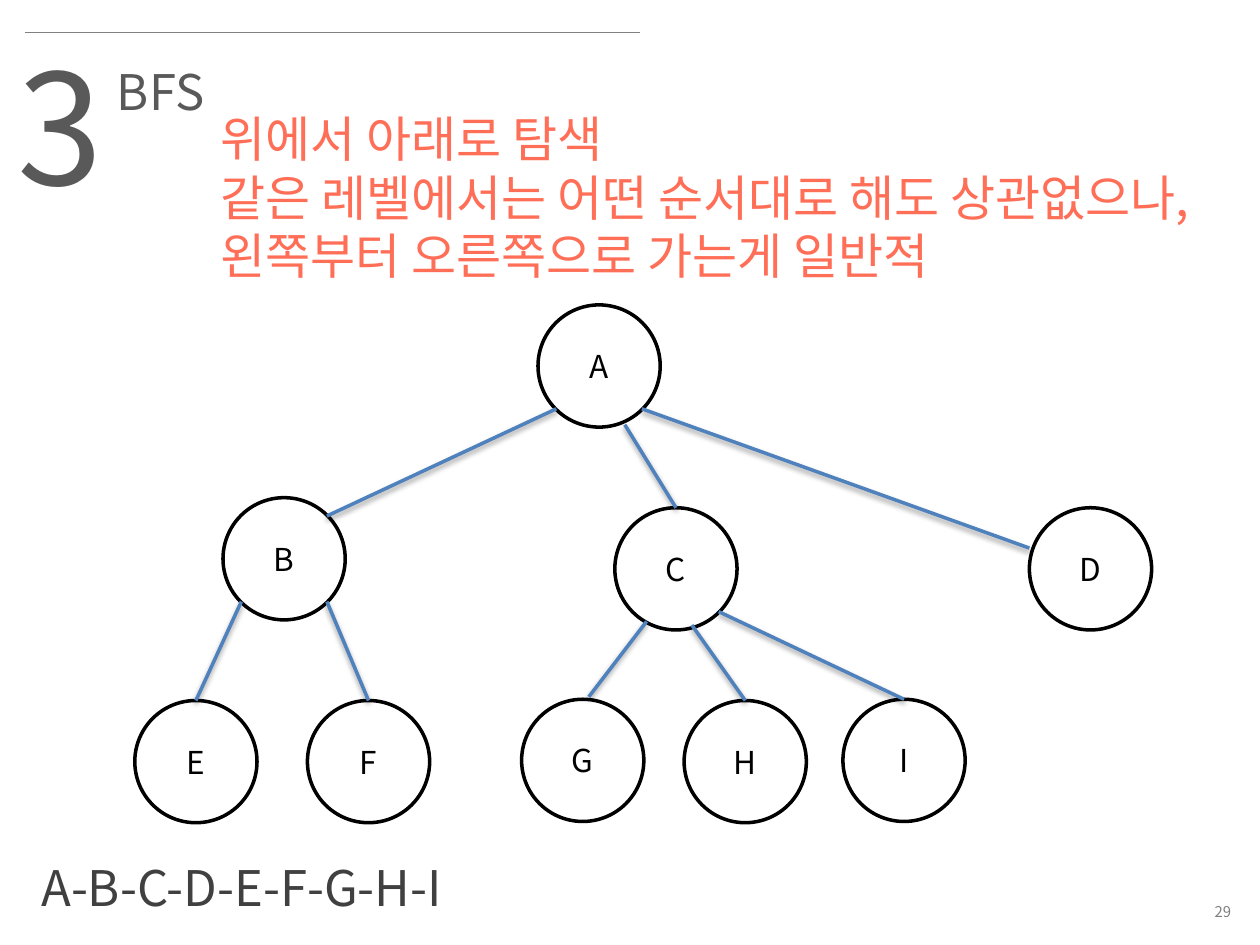
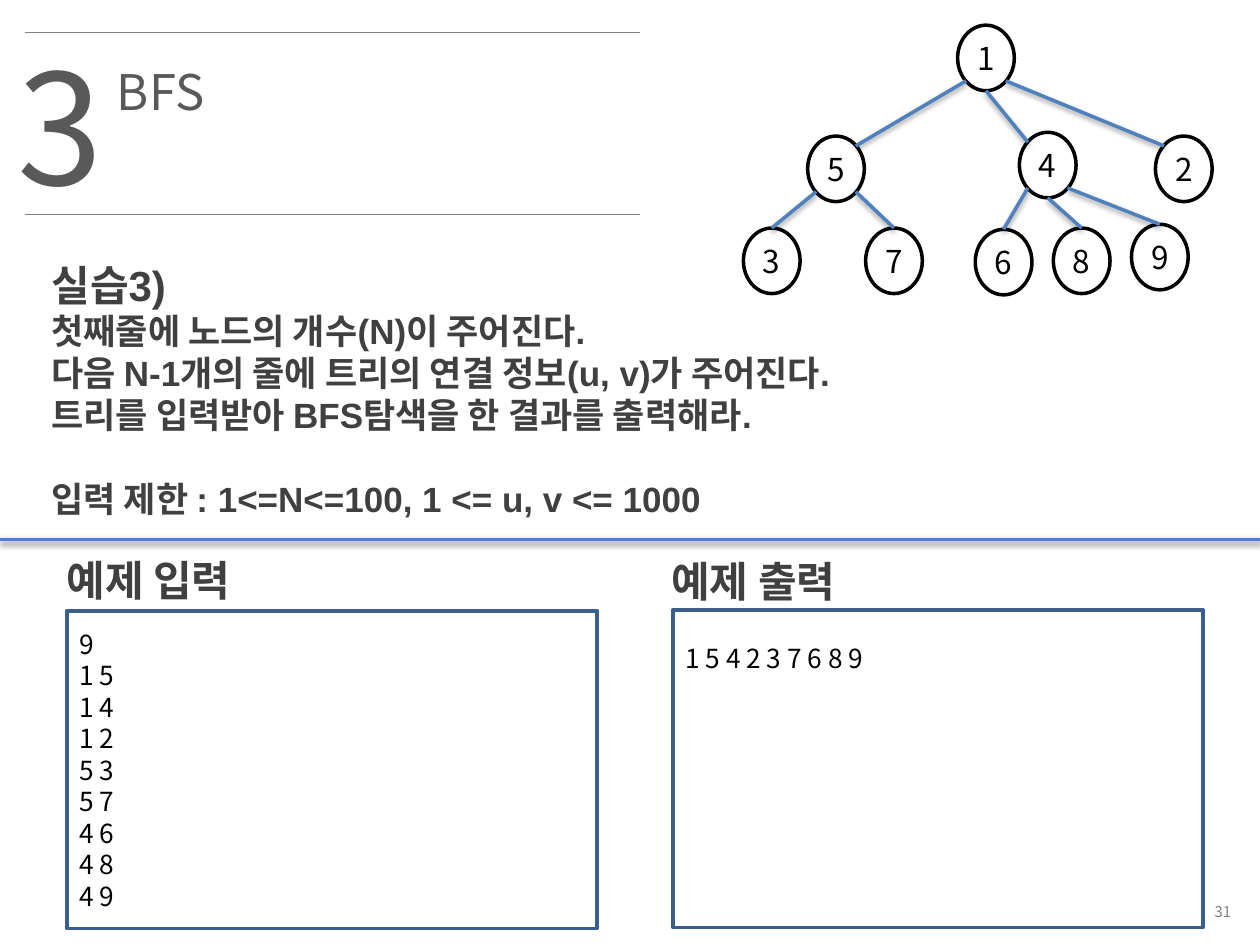
from dataclasses import dataclass
from typing import NamedTuple

from lxml import etree
from pptx import Presentation
from pptx.dml.color import RGBColor
from pptx.enum.shapes import MSO_CONNECTOR, MSO_SHAPE
from pptx.enum.text import MSO_ANCHOR, PP_ALIGN
from pptx.oxml.ns import qn
from pptx.util import Inches, Pt

STRAIGHT = MSO_CONNECTOR.STRAIGHT
ELLIPSE = MSO_SHAPE.OVAL
RECTANGLE = MSO_SHAPE.RECTANGLE
TOP = MSO_ANCHOR.TOP
MIDDLE = MSO_ANCHOR.MIDDLE
LEFT = PP_ALIGN.LEFT
CENTER = PP_ALIGN.CENTER
RIGHT = PP_ALIGN.RIGHT


class TextStyle(NamedTuple):
    size: float
    color: str
    font: str = "Noto Sans CJK KR"
    bold: bool = False


@dataclass(frozen=True)
class Theme:
    east_asian: str = "Noto Sans CJK KR"
    rule: str = "808080"
    node_line: str = "000000"
    edge: str = "4F81BD"
    panel_line: str = "3A5F8C"
    rule_width: float = 0.75
    line_width: float = 2
    number: TextStyle = TextStyle(88, "595959")
    title: TextStyle = TextStyle(28, "595959")
    note: TextStyle = TextStyle(28, "FF6E57")
    order: TextStyle = TextStyle(28, "404040")
    node: TextStyle = TextStyle(18, "000000")
    sample: TextStyle = TextStyle(15, "000000")
    heading: TextStyle = TextStyle(24, "404040", "Arial", True)
    body: TextStyle = TextStyle(20, "404040", "Arial", True)
    footer: TextStyle = TextStyle(8.5, "808080")


THEME = Theme()


class Point(NamedTuple):
    x: float
    y: float


class Area(NamedTuple):
    left: float
    top: float
    width: float
    height: float

    def inches(self) -> tuple:
        return tuple(Inches(value) for value in self)

    def at(self, port: Point) -> Point:
        return Point(self.left + port.x * self.width, self.top + port.y * self.height)


NORTH = Point(0.5, 0)
SOUTH = Point(0.5, 1)
NORTH_WEST = Point(0.15, 0.15)
NORTH_EAST = Point(0.85, 0.15)
SOUTH_WEST = Point(0.15, 0.85)
SOUTH_EAST = Point(0.85, 0.85)


class Edge(NamedTuple):
    parent: str
    child: str
    start: Point
    end: Point = NORTH


@dataclass(frozen=True)
class Tree:
    node_width: float
    node_height: float
    nodes: dict[str, Point]
    edges: list[Edge]


LETTER_TREE = Tree(
    0.97, 0.97,
    {
        "A": Point(4.27, 2.42),
        "B": Point(1.77, 3.95), "C": Point(4.88, 4.03), "D": Point(8.17, 4.03),
        "E": Point(1.07, 5.56), "F": Point(2.44, 5.56),
        "G": Point(4.14, 5.55), "H": Point(5.43, 5.56), "I": Point(6.69, 5.55),
    },
    [
        Edge("A", "B", SOUTH_WEST, NORTH_EAST),
        Edge("A", "C", Point(0.71, 0.98)),
        Edge("A", "D", SOUTH_EAST, Point(0, 0.33)),
        Edge("B", "E", SOUTH_WEST),
        Edge("B", "F", SOUTH_EAST),
        Edge("C", "G", Point(0.26, 0.93), Point(0.55, -0.02)),
        Edge("C", "H", Point(0.63, 0.96)),
        Edge("C", "I", SOUTH_EAST),
    ],
)

NUMBER_TREE = Tree(
    0.45, 0.52,
    {
        "1": Point(7.6, 0.2),
        "5": Point(6.41, 1.08), "4": Point(8.09, 1.05), "2": Point(9.17, 1.08),
        "3": Point(5.9, 1.81), "7": Point(6.87, 1.81),
        "6": Point(7.74, 1.82), "8": Point(8.36, 1.81), "9": Point(8.98, 1.78),
    },
    [
        Edge("1", "5", SOUTH_WEST, NORTH_EAST),
        Edge("1", "4", SOUTH, NORTH_WEST),
        Edge("1", "2", SOUTH_EAST, NORTH_WEST),
        Edge("5", "3", SOUTH_WEST),
        Edge("5", "7", SOUTH_EAST),
        Edge("4", "6", SOUTH_WEST),
        Edge("4", "8", SOUTH),
        Edge("4", "9", SOUTH_EAST),
    ],
)


class Panel(NamedTuple):
    heading: str
    heading_area: Area
    area: Area
    lines: list[str]
    anchor: MSO_ANCHOR
    top_margin: float


PANELS = [
    Panel("예제 입력", Area(0.43, 4.35, 1.89, 0.5), Area(0.53, 4.85, 4.21, 2.52),
          ["9", "1 5", "1 4", "1 2", "5 3", "5 7", "4 6", "4 8", "4 9"], MIDDLE, 0.05),
    Panel("예제 출력", Area(5.23, 4.36, 1.89, 0.5), Area(5.34, 4.84, 4.21, 2.52),
          ["1 5 4 2 3 7 6 8 9"], TOP, 0.26),
]


def write(frame, lines: list[str], style: TextStyle, align: PP_ALIGN = LEFT) -> None:
    frame.text = "\n".join(lines)
    for para in frame.paragraphs:
        para.alignment = align
        for span in para.runs:
            format_span(span, style)


def format_span(span, style: TextStyle) -> None:
    span.font.name = style.font
    span.font.size = Pt(style.size)
    span.font.bold = style.bold
    span.font.color.rgb = RGBColor.from_string(style.color)
    east_asian = etree.SubElement(span.font._element, qn("a:ea"))
    east_asian.set("typeface", THEME.east_asian)


def add_text(page, area: Area, lines: list[str], style: TextStyle,
             align: PP_ALIGN = LEFT, anchor: MSO_ANCHOR = TOP):
    box = page.shapes.add_textbox(*area.inches())
    box.text_frame.word_wrap = True
    box.text_frame.vertical_anchor = anchor
    write(box.text_frame, lines, style, align)
    return box


def add_line(page, start: Point, end: Point, color: str, width: float, shadow: bool) -> None:
    line = page.shapes.add_connector(
        STRAIGHT, Inches(start.x), Inches(start.y), Inches(end.x), Inches(end.y))
    line.line.color.rgb = RGBColor.from_string(color)
    line.line.width = Pt(width)
    effects = etree.SubElement(line._element.spPr, qn("a:effectLst"))
    if shadow:
        outer = etree.SubElement(effects, qn("a:outerShdw"), blurRad="40000",
                                 dist="20000", dir="5400000", rotWithShape="0")
        black = etree.SubElement(outer, qn("a:srgbClr"), val="000000")
        etree.SubElement(black, qn("a:alpha"), val="38000")


def add_rule(page, y: float) -> None:
    add_line(page, Point(0.2, y), Point(5.08, y), THEME.rule, THEME.rule_width, False)


def add_accent_line(page, start: Point, end: Point) -> None:
    add_line(page, start, end, THEME.edge, THEME.line_width, True)


def add_outline(page, kind: MSO_SHAPE, area: Area, color: str):
    shape = page.shapes.add_shape(kind, *area.inches())
    shape.shadow.inherit = False
    shape.fill.background()
    shape.line.color.rgb = RGBColor.from_string(color)
    shape.line.width = Pt(THEME.line_width)
    return shape


def add_tree(page, tree: Tree) -> None:
    areas = {name: Area(*corner, tree.node_width, tree.node_height)
             for name, corner in tree.nodes.items()}
    for name, area in areas.items():
        frame = add_outline(page, ELLIPSE, area, THEME.node_line).text_frame
        frame.margin_left = frame.margin_right = 0
        frame.margin_top = frame.margin_bottom = 0
        frame.word_wrap = False
        frame.vertical_anchor = MIDDLE
        write(frame, [name], THEME.node, CENTER)
    for edge in tree.edges:
        add_accent_line(page, areas[edge.parent].at(edge.start), areas[edge.child].at(edge.end))


def add_panel(page, panel: Panel) -> None:
    add_text(page, panel.heading_area, [panel.heading], THEME.heading)
    frame = add_outline(page, RECTANGLE, panel.area, THEME.panel_line).text_frame
    frame.word_wrap = True
    frame.vertical_anchor = panel.anchor
    frame.margin_top = Inches(panel.top_margin)
    write(frame, panel.lines, THEME.sample)


def add_page(deck, number: int):
    page = deck.slides.add_slide(deck.slide_layouts[6])
    add_text(page, Area(7.76, 7.1, 2.11, 0.27), [str(number)], THEME.footer, RIGHT, MIDDLE)
    add_rule(page, 0.26)
    add_text(page, Area(0.83, 0.44, 2.42, 0.57), ["BFS"], THEME.title)
    add_text(page, Area(0.04, 0.2, 0.79, 1.58), ["3"], THEME.number)
    return page


def build_traversal(deck) -> None:
    page = add_page(deck, 29)
    add_tree(page, LETTER_TREE)
    add_text(page, Area(0.23, 6.76, 4.73, 0.57), ["A-B-C-D-E-F-G-H-I"], THEME.order)
    add_text(page, Area(1.65, 0.81, 8.31, 1.51), [
        "위에서 아래로 탐색",
        "같은 레벨에서는 어떤 순서대로 해도 상관없으나, 왼쪽부터 오른쪽으로 가는게 일반적",
    ], THEME.note)


def build_exercise(deck) -> None:
    page = add_page(deck, 31)
    add_rule(page, 1.7)
    task = add_text(page, Area(0.31, 2.01, 9.53, 2.19), [
        "실습3)",
        "첫째줄에 노드의 개수(N)이 주어진다.",
        "다음 N-1개의 줄에 트리의 연결 정보(u, v)가 주어진다.",
        "트리를 입력받아 BFS탐색을 한 결과를 출력해라.",
        "입력 제한 : 1<=N<=100, 1 <= u, v <= 1000",
    ], THEME.body)
    paragraphs = task.text_frame.paragraphs
    paragraphs[0].runs[0].font.size = Pt(THEME.heading.size)
    paragraphs[-1].space_before = Pt(24)
    add_accent_line(page, Point(0, 4.28), Point(10, 4.28))
    for panel in PANELS:
        add_panel(page, panel)
    add_tree(page, NUMBER_TREE)


def main() -> None:
    deck = Presentation()
    deck.slide_width = Inches(10)
    deck.slide_height = Inches(7.5)
    build_traversal(deck)
    build_exercise(deck)
    deck.save("out.pptx")


if __name__ == "__main__":
    main()
